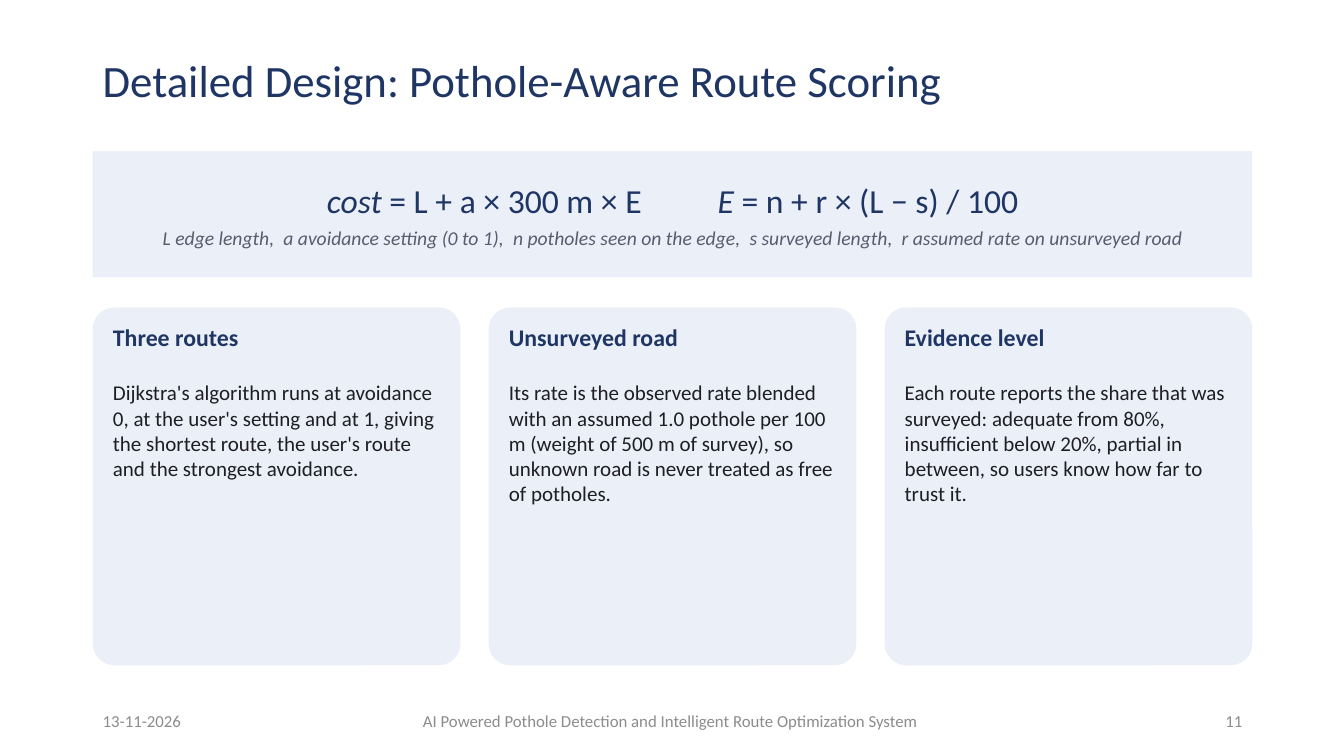
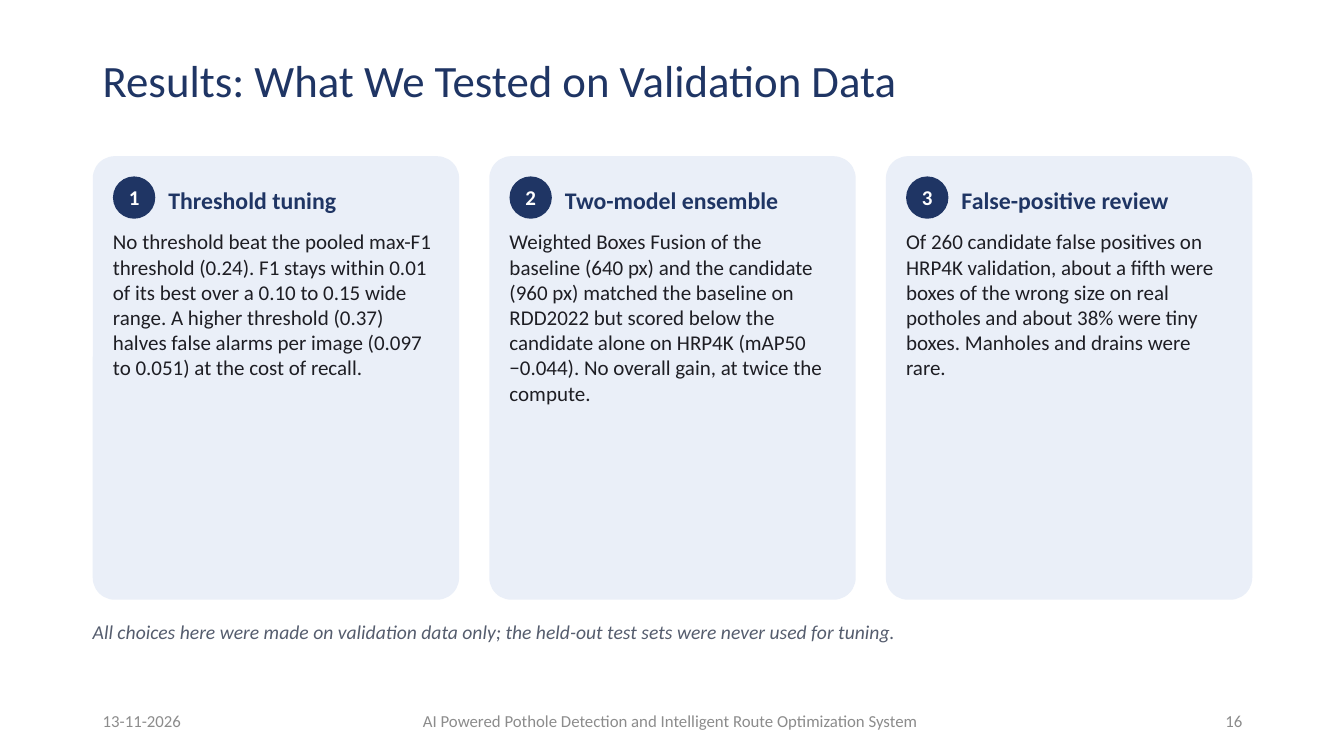
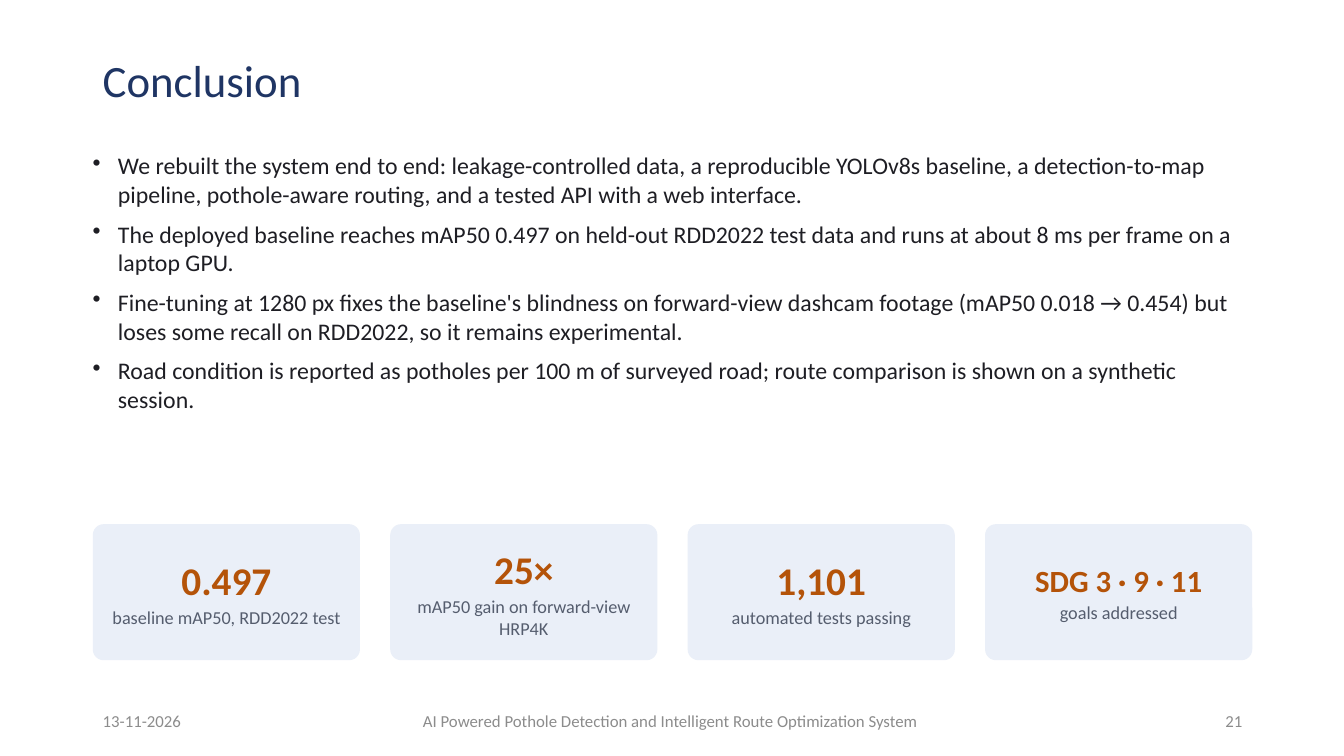
from dataclasses import dataclass
from typing import NamedTuple

from lxml.etree import SubElement
from pptx import Presentation
from pptx.dml.color import RGBColor as Rgb
from pptx.enum.shapes import MSO_SHAPE as Kind
from pptx.enum.text import MSO_ANCHOR as Anchor, PP_ALIGN as Align
from pptx.oxml.ns import qn
from pptx.util import Inches, Pt


class Ink(NamedTuple):
    size: float
    color: str
    bold: bool = False
    slant: bool = False


@dataclass(frozen=True)
class Theme:
    font: str = "Calibri"
    navy: str = "1F3564"
    pale: str = "EAEFF8"
    title: Ink = Ink(32, "1F3564")
    foot: Ink = Ink(12, "8C8C8C")
    math: Ink = Ink(24, "1F3564")
    term: Ink = Ink(24, "1F3564", slant=True)
    note: Ink = Ink(14, "555D6E", slant=True)
    head: Ink = Ink(17, "1F3564", bold=True)
    body: Ink = Ink(15, "1E1E24")
    point: Ink = Ink(17, "1E1E24")
    badge: Ink = Ink(15, "FFFFFF", bold=True)
    stat: Ink = Ink(28, "B45309", bold=True)
    small: Ink = Ink(22, "B45309", bold=True)
    label: Ink = Ink(13, "555D6E")


class Area(NamedTuple):
    left: float
    top: float
    width: float
    height: float


class Bit(NamedTuple):
    text: str
    ink: Ink
    wide: float = 0


@dataclass(frozen=True)
class Line:
    bits: tuple[Bit, ...]
    align: Align = Align.LEFT
    after: float = 0
    pitch: float = 1
    dot: bool = False


class Card(NamedTuple):
    head: str
    body: str


class Stat(NamedTuple):
    value: str
    label: str
    ink: Ink


LOOK = Theme()
WIDE, HIGH = 13.33, 7.5
EDGE, SPAN = 0.92, 11.5
PAD = 0.2
NONE = (0, 0)
DATE = "13-11-2026"
TOPIC = "AI Powered Pothole Detection and Intelligent Route Optimization System"

ROUTES = (
    Card("Three routes", "Dijkstra's algorithm runs at avoidance 0, at the user's setting and at 1, "
         "giving the shortest route, the user's route and the strongest avoidance."),
    Card("Unsurveyed road", "Its rate is the observed rate blended with an assumed 1.0 pothole per 100 m "
         "(weight of 500 m of survey), so unknown road is never treated as free of potholes."),
    Card("Evidence level", "Each route reports the share that was surveyed: adequate from 80%, "
         "insufficient below 20%, partial in between, so users know how far to trust it."),
)
TESTS = (
    Card("Threshold tuning", "No threshold beat the pooled max-F1 threshold (0.24). F1 stays within 0.01 "
         "of its best over a 0.10 to 0.15 wide range. A higher threshold (0.37) halves false alarms "
         "per image (0.097 to 0.051) at the cost of recall."),
    Card("Two-model ensemble", "Weighted Boxes Fusion of the baseline (640 px) and the candidate (960 px) "
         "matched the baseline on RDD2022 but scored below the candidate alone on HRP4K "
         "(mAP50 −0.044). No overall gain, at twice the compute."),
    Card("False-positive review", "Of 260 candidate false positives on HRP4K validation, about a fifth were "
         "boxes of the wrong size on real potholes and about 38% were tiny boxes. "
         "Manholes and drains were rare."),
)
TERMS = (
    "L edge length,",
    "a avoidance setting (0 to 1),",
    "n potholes seen on the edge,",
    "s surveyed length,",
    "r assumed rate on unsurveyed road",
)
POINTS = (
    "We rebuilt the system end to end: leakage-controlled data, a reproducible YOLOv8s baseline, "
    "a detection-to-map pipeline, pothole-aware routing, and a tested API with a web interface.",
    "The deployed baseline reaches mAP50 0.497 on held-out RDD2022 test data and runs at about "
    "8 ms per frame on a laptop GPU.",
    "Fine-tuning at 1280 px fixes the baseline's blindness on forward-view dashcam footage "
    "(mAP50 0.018 → 0.454) but loses some recall on RDD2022, so it remains experimental.",
    "Road condition is reported as potholes per 100 m of surveyed road; route comparison is shown "
    "on a synthetic session.",
)
STATS = (
    Stat("0.497", "baseline mAP50, RDD2022 test", LOOK.stat),
    Stat("25×", "mAP50 gain on forward-view HRP4K", LOOK.stat),
    Stat("1,101", "automated tests passing", LOOK.stat),
    Stat("SDG 3 · 9 · 11", "goals addressed", LOOK.small),
)


def plain(text: str, ink: Ink, **style) -> Line:
    return Line((Bit(text, ink),), **style)


def split(count: int, gap: float, top: float, height: float) -> list[Area]:
    width = (SPAN - gap * (count - 1)) / count
    return [Area(EDGE + i * (width + gap), top, width, height) for i in range(count)]


def write(shape, lines: list[Line], anchor: Anchor, inset: tuple[float, float]) -> None:
    frame = shape.text_frame
    frame.word_wrap = True
    frame.vertical_anchor = anchor
    frame.margin_left = frame.margin_right = Inches(inset[0])
    frame.margin_top = frame.margin_bottom = Inches(inset[1])
    for i, line in enumerate(lines):
        para = frame.add_paragraph() if i else frame.paragraphs[0]
        para.alignment = line.align
        para.space_after = Pt(line.after)
        para.line_spacing = line.pitch
        if line.dot:
            props = para._p.get_or_add_pPr()
            props.set("marL", str(Inches(0.25)))
            props.set("indent", str(Inches(-0.25)))
            SubElement(props, qn("a:buChar")).set("char", "•")
        for bit in line.bits:
            run = para.add_run()
            run.text = bit.text
            font = run.font
            font.name = LOOK.font
            font.size = Pt(bit.ink.size)
            font.bold = bit.ink.bold
            font.italic = bit.ink.slant
            font.color.rgb = Rgb.from_string(bit.ink.color)
            if bit.wide:
                run._r.get_or_add_rPr().set("spc", str(round(bit.wide * 100)))


def label(slide, area: Area, lines: list[Line], anchor: Anchor = Anchor.TOP,
          inset: tuple[float, float] = NONE) -> None:
    write(slide.shapes.add_textbox(*map(Inches, area)), lines, anchor, inset)


def block(slide, kind: Kind, area: Area, fill: str = LOOK.pale, curve: float = 0):
    shape = slide.shapes.add_shape(kind, *map(Inches, area))
    shape.shadow.inherit = False
    shape.fill.solid()
    shape.fill.fore_color.rgb = Rgb.from_string(fill)
    shape.line.fill.background()
    if curve:
        shape.adjustments[0] = curve
    return shape


def start(deck, title: str, page: int):
    slide = deck.slides.add_slide(deck.slide_layouts[6])
    base = (0.1, 0.05)
    label(slide, Area(EDGE, 0.4, 10.9, 0.85), [plain(title, LOOK.title, pitch=0.9)], Anchor.MIDDLE, base)
    for left, width, text, align in (
        (3.6, 6.1, TOPIC, Align.CENTER),
        (EDGE + SPAN - 3, 3, str(page), Align.RIGHT),
        (EDGE, 3, DATE, Align.LEFT),
    ):
        label(slide, Area(left, 6.95, width, 0.4), [plain(text, LOOK.foot, align=align)],
              Anchor.MIDDLE, base)
    return slide


def panel(slide, area: Area, card: Card, rank: int = 0) -> None:
    block(slide, Kind.ROUNDED_RECTANGLE, area, curve=0.06)
    left, width = area.left + PAD, area.width - 2 * PAD
    if rank:
        disc = block(slide, Kind.OVAL, Area(left, area.top + PAD, 0.42, 0.42), LOOK.navy)
        write(disc, [plain(str(rank), LOOK.badge, align=Align.CENTER)], Anchor.MIDDLE, NONE)
    shift, drop, tall = (0.55, 0.18, 0.5) if rank else (0, 0.15, 0.45)
    label(slide, Area(left + shift, area.top + drop, width - shift, tall),
          [plain(card.head, LOOK.head, after=4)], Anchor.MIDDLE if rank else Anchor.TOP)
    below = 0.72
    label(slide, Area(left, area.top + below, width, area.height - below - 0.1),
          [plain(card.body, LOOK.body, after=3)])


def scoring(deck) -> None:
    slide = start(deck, "Detailed Design: Pothole-Aware Route Scoring", 11)
    cost = (
        Bit("cost", LOOK.term),
        Bit(" = L + a × 300 m × E", LOOK.math),
        Bit(" ", LOOK.term, 48.8),
        Bit("E", LOOK.term),
        Bit(" = n + r × (L − s) / 100", LOOK.math),
    )
    key = [Bit(TERMS[0], LOOK.note)]
    for term in TERMS[1:]:
        key += [Bit(" ", LOOK.note, 3.2), Bit(term, LOOK.note)]
    band = block(slide, Kind.RECTANGLE, Area(EDGE, 1.5, SPAN, 1.25))
    rows = [Line(bits, Align.CENTER, 4) for bits in (cost, tuple(key))]
    write(band, rows, Anchor.MIDDLE, (0.08, 0.08))
    for area, card in zip(split(3, 0.28, 3.05, 3.55), ROUTES):
        panel(slide, area, card)


def results(deck) -> None:
    slide = start(deck, "Results: What We Tested on Validation Data", 16)
    for rank, (area, card) in enumerate(zip(split(3, 0.3, 1.55, 4.4), TESTS), 1):
        panel(slide, area, card, rank)
    label(slide, Area(EDGE, 6.15, SPAN, 0.5), [plain(
        "All choices here were made on validation data only; "
        "the held-out test sets were never used for tuning.", LOOK.note, after=4)])


def closing(deck) -> None:
    slide = start(deck, "Conclusion", 21)
    label(slide, Area(EDGE, 1.5, SPAN, 3.5),
          [plain(text, LOOK.point, after=8, dot=True) for text in POINTS])
    for area, stat in zip(split(4, 0.3, 5.2, 1.35), STATS):
        tile = block(slide, Kind.ROUNDED_RECTANGLE, area, curve=0.08)
        write(tile, [plain(stat.value, stat.ink, align=Align.CENTER, after=2),
                     plain(stat.label, LOOK.label, align=Align.CENTER)],
              Anchor.MIDDLE, (0.08, 0.05))


def main() -> None:
    deck = Presentation()
    deck.slide_width, deck.slide_height = Inches(WIDE), Inches(HIGH)
    for draw in (scoring, results, closing):
        draw(deck)
    deck.save("out.pptx")


if __name__ == "__main__":
    main()
